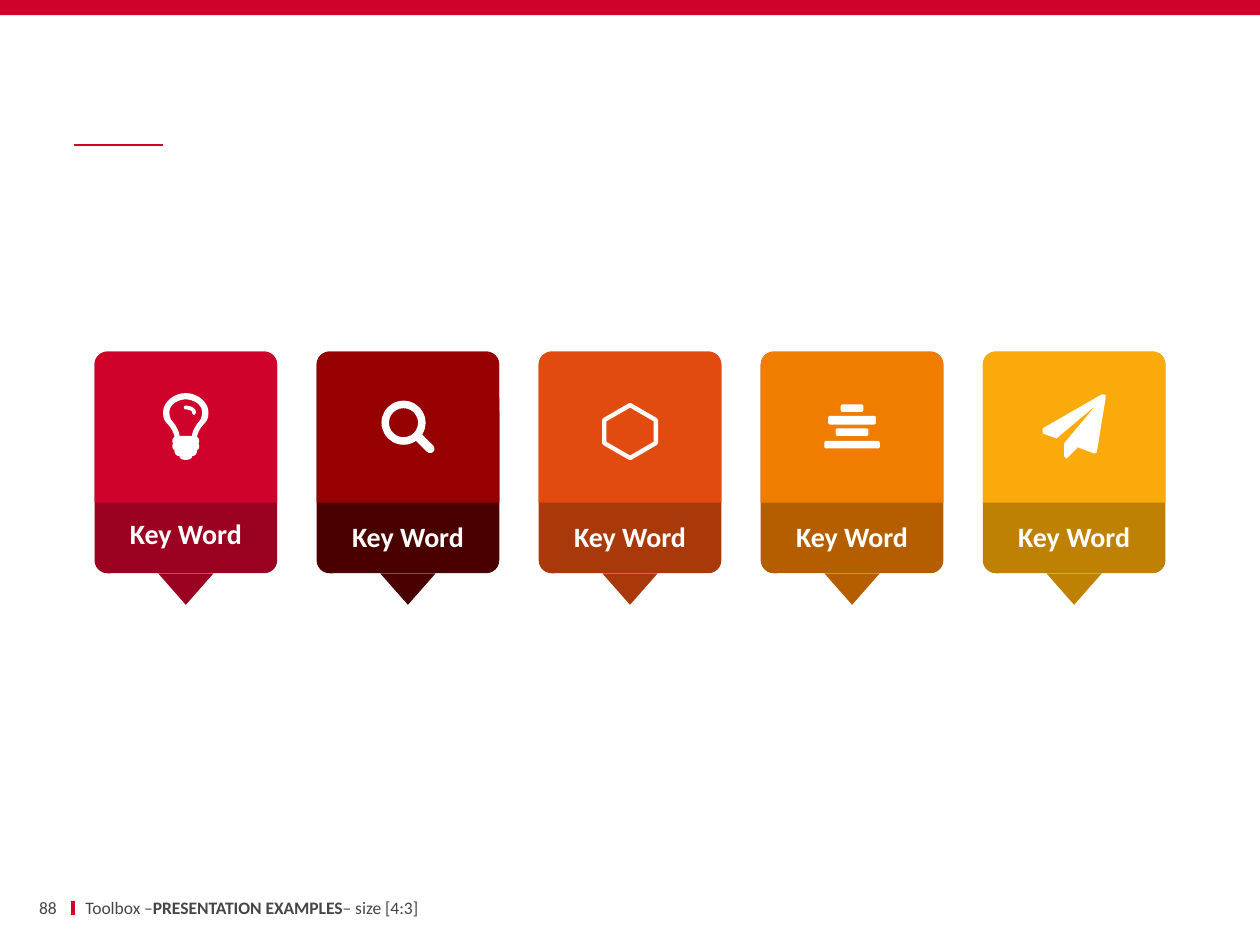
from lxml.etree import SubElement
from pptx import Presentation
from pptx.dml.color import RGBColor
from pptx.enum.shapes import MSO_CONNECTOR, MSO_SHAPE
from pptx.enum.text import MSO_ANCHOR, PP_ALIGN
from pptx.oxml.ns import qn
from pptx.util import Inches, Pt

COLORS = {"red": "CF022B", "white": "FFFFFF", "grey": "464646"}
# Upper and lower colour of each card
CARDS = [("CF022B", "9B0120"), ("960000", "4B0000"), ("E14B0F", "A9380B"),
         ("F07D00", "B45E00"), ("FAAA0A", "BF8104")]
CARD_W, CARD_TOP, CARD_H, HEAD_H = 1.45, 2.79, 1.76, 1.2
FIRST_LEFT, LAST_RIGHT = 0.75, 9.25
PITCH = (LAST_RIGHT - CARD_W - FIRST_LEFT) / (len(CARDS) - 1)


def rgb(name):
    return RGBColor.from_string(COLORS.get(name, name))


def curve(start, *segments, steps=8):
    """Points along a chain of cubic curves; a segment is two controls and an end."""
    points = [start]
    for c1, c2, end in segments:
        p0 = points[-1]
        for k in range(1, steps + 1):
            t = k / steps
            weights = ((1 - t) ** 3, 3 * t * (1 - t) ** 2, 3 * t * t * (1 - t), t ** 3)
            points.append(tuple(sum(w * p[axis] for w, p in zip(weights, (p0, c1, c2, end)))
                                for axis in (0, 1)))
    return points


def mirrored(half):
    return half + [(-x, y) for x, y in reversed(half)]


class SlideBuilder:
    font = "Calibri"

    def __init__(self, slide):
        self.shapes = slide.shapes

    def paint(self, sp, fill):
        sp.shadow.inherit = False
        sp.fill.solid()
        sp.fill.fore_color.rgb = rgb(fill)
        sp.line.fill.background()
        return sp

    def shape(self, kind, x, y, w, h, fill, adjust=(), rotation=0):
        sp = self.shapes.add_shape(kind, Inches(x), Inches(y), Inches(w), Inches(h))
        for i, value in enumerate(adjust):
            sp.adjustments[i] = value
        sp.rotation = rotation
        return self.paint(sp, fill)

    def outline(self, contours, fill, dx=0):
        """One closed freeform made of several contours, moved right by dx."""
        moved = [[(Inches(x + dx), Inches(y)) for x, y in contour] for contour in contours]
        builder = self.shapes.build_freeform(*moved[0][0])
        for i, contour in enumerate(moved):
            if i:
                builder.move_to(*contour[0])
            builder.add_line_segments(contour[1:], close=True)
        return self.paint(builder.convert_to_shape(), fill)

    def line(self, x1, y1, x2, y2, color, width):
        cn = self.shapes.add_connector(MSO_CONNECTOR.STRAIGHT, Inches(x1), Inches(y1),
                                       Inches(x2), Inches(y2))
        cn.line.color.rgb = rgb(color)
        cn.line.width = Pt(width)
        SubElement(cn.element.spPr, qn("a:effectLst"))

    def text(self, x, y, w, h, runs, size, color, align=PP_ALIGN.LEFT,
             anchor=MSO_ANCHOR.TOP, inset=(0, 0)):
        """runs is a list of (text, bold) pairs; inset is (sides, top and bottom)."""
        tf = self.shapes.add_textbox(Inches(x), Inches(y), Inches(w), Inches(h)).text_frame
        tf.word_wrap = True
        tf.vertical_anchor = anchor
        tf.margin_left = tf.margin_right = Inches(inset[0])
        tf.margin_top = tf.margin_bottom = Inches(inset[1])
        p = tf.paragraphs[0]
        p.alignment = align
        p.font.name, p.font.size = self.font, Pt(size)
        p.font.color.rgb = rgb(color)
        for content, bold in runs:
            r = p.add_run()
            r.text = content
            r.font.bold = bold

    def card(self, x, head, base, label_top):
        self.shape(MSO_SHAPE.ROUNDED_RECTANGLE, x, CARD_TOP, CARD_W, CARD_H, base, [0.071])
        self.shape(MSO_SHAPE.ISOSCELES_TRIANGLE, x + (CARD_W - 0.44) / 2, CARD_TOP + CARD_H,
                   0.44, 0.25, base, rotation=180)
        self.shape(MSO_SHAPE.ROUND_2_SAME_RECTANGLE, x, CARD_TOP, CARD_W, HEAD_H, head,
                   [0.087, 0])
        self.text(x, label_top, CARD_W, 0.26, [("Key Word", True)], 16, "white",
                  PP_ALIGN.CENTER)

    # Icons, each placed around the centre line cx of its card
    def bulb_icon(self, cx):
        glass = curve((0, 3.12), ((0.09, 3.12), (0.18, 3.19), (0.18, 3.27)),
                      ((0.18, 3.32), (0.17, 3.34), (0.14, 3.37)),
                      ((0.12, 3.39), (0.09, 3.44), (0.09, 3.47)),
                      ((0.11, 3.48), (0.11, 3.51), (0.1, 3.52)),
                      ((0.11, 3.53), (0.11, 3.57), (0.09, 3.57)),
                      ((0.09, 3.61), (0.07, 3.62), (0.05, 3.62)),
                      ((0.05, 3.64), (0.03, 3.65), (0, 3.65)))
        hollow = curve((0, 3.17), ((0.06, 3.17), (0.13, 3.21), (0.13, 3.27)),
                       ((0.13, 3.3), (0.12, 3.33), (0.11, 3.34)),
                       ((0.09, 3.36), (0.05, 3.42), (0.05, 3.46)))
        glint = curve((0.05, 3.27), ((0.05, 3.26), (0.02, 3.25), (0, 3.25)),
                      ((-0.02, 3.25), (-0.02, 3.22), (0, 3.22)),
                      ((0.04, 3.22), (0.08, 3.24), (0.08, 3.27)),
                      ((0.08, 3.3), (0.05, 3.3), (0.05, 3.27)))
        self.outline([mirrored(glass), mirrored(hollow), glint], "white", cx)

    def search_icon(self, cx):
        self.shape(MSO_SHAPE.DONUT, cx - 0.21, 3.18, 0.35, 0.35, "white", [0.17])
        self.shape(MSO_SHAPE.ROUNDED_RECTANGLE, cx + 0.03, 3.48, 0.2, 0.07, "white",
                   [0.5], 45)

    def hexagon_icon(self, cx):
        sp = self.shape(MSO_SHAPE.HEXAGON, cx - 0.21, 3.22, 0.42, 0.41, "white",
                        [0.29], 90)
        sp.fill.background()
        sp.line.color.rgb = rgb("white")
        sp.line.width = Pt(2.5)

    def bars_icon(self, cx):
        for top, width, height in ((3.21, 0.18, 0.06), (3.3, 0.38, 0.07),
                                   (3.4, 0.26, 0.06), (3.5, 0.44, 0.06)):
            self.shape(MSO_SHAPE.ROUNDED_RECTANGLE, cx - width / 2, top, width, height,
                       "white", [0.25])

    def plane_icon(self, cx):
        plane = [(0.25, 3.16), (0.18, 3.59), (0.16, 3.6), (0.03, 3.55), (-0.05, 3.63),
                 (-0.06, 3.64), (-0.08, 3.62), (-0.08, 3.52), (0.17, 3.22),
                 (-0.14, 3.48), (-0.25, 3.44), (-0.25, 3.4), (0.22, 3.13),
                 (0.24, 3.13), (0.25, 3.14)]
        self.outline([plane], "white", cx)


def main():
    prs = Presentation()
    prs.slide_width, prs.slide_height = Inches(10), Inches(7.5)
    s = SlideBuilder(prs.slides.add_slide(prs.slide_layouts[6]))

    # Page frame
    s.line(0.58, 7.15, 0.58, 7.26, "red", 2.25)
    s.line(0.59, 1.15, 1.29, 1.15, "red", 1)
    s.shape(MSO_SHAPE.RECTANGLE, 0, 0, 10, 0.12, "red")

    # Cards with their icons
    icons = [s.bulb_icon, s.search_icon, s.hexagon_icon, s.bars_icon, s.plane_icon]
    for i, ((head, base), icon) in enumerate(zip(CARDS, icons)):
        x = FIRST_LEFT + i * PITCH
        s.card(x, head, base, 4.12 if i else 4.1)
        icon(x + CARD_W / 2)

    # Footer
    s.text(0.13, 7.11, 0.32, 0.18, [("88", False)], 10, "grey", PP_ALIGN.RIGHT,
           MSO_ANCHOR.MIDDLE, (0, 0.05))
    s.text(0.58, 7.11, 4.97, 0.18,
           [("Toolbox –", False), ("PRESENTATION EXAMPLES", True), ("– size [4:3]", False)],
           10, "grey", anchor=MSO_ANCHOR.MIDDLE, inset=(0.1, 0.05))

    prs.save("out.pptx")


if __name__ == "__main__":
    main()
